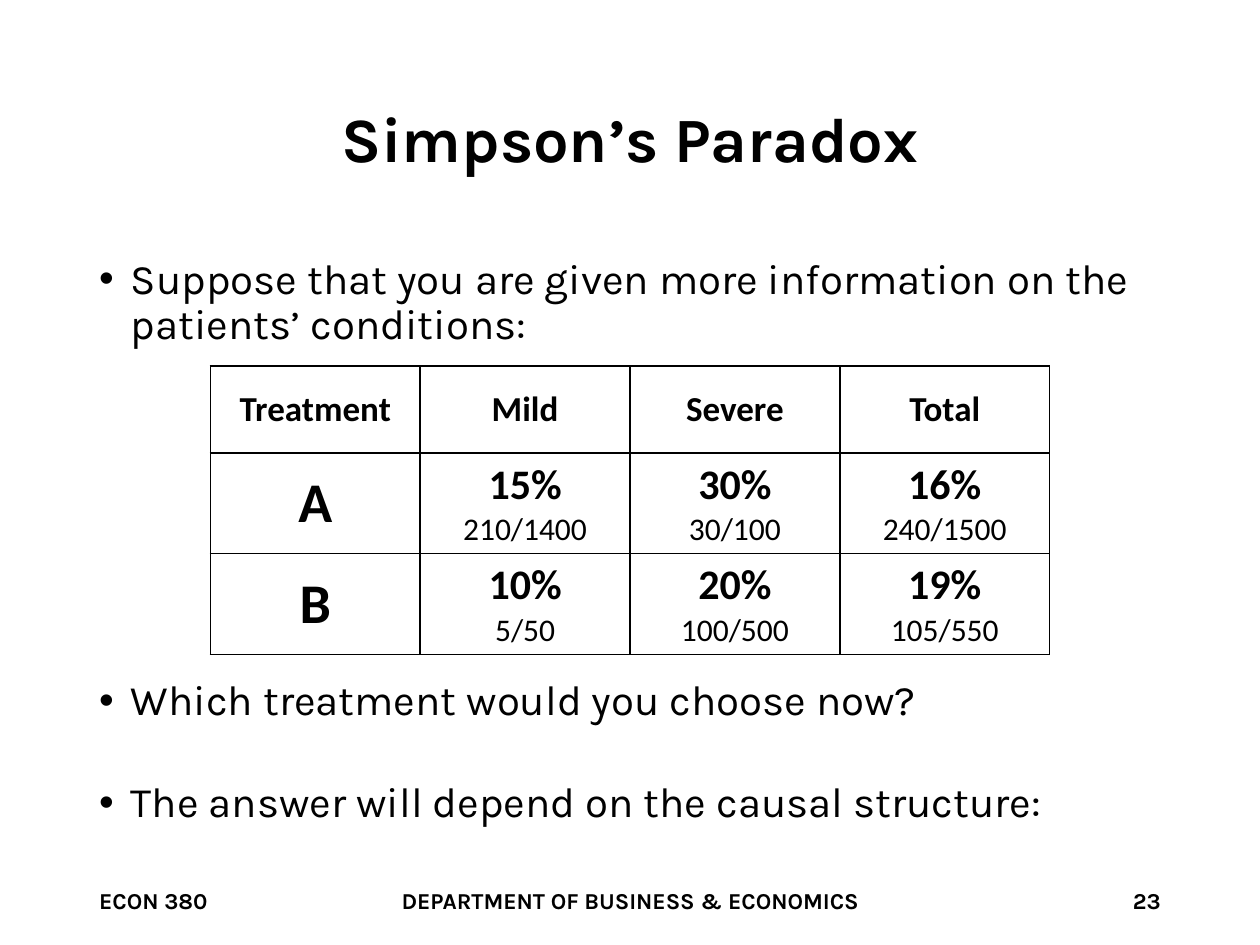
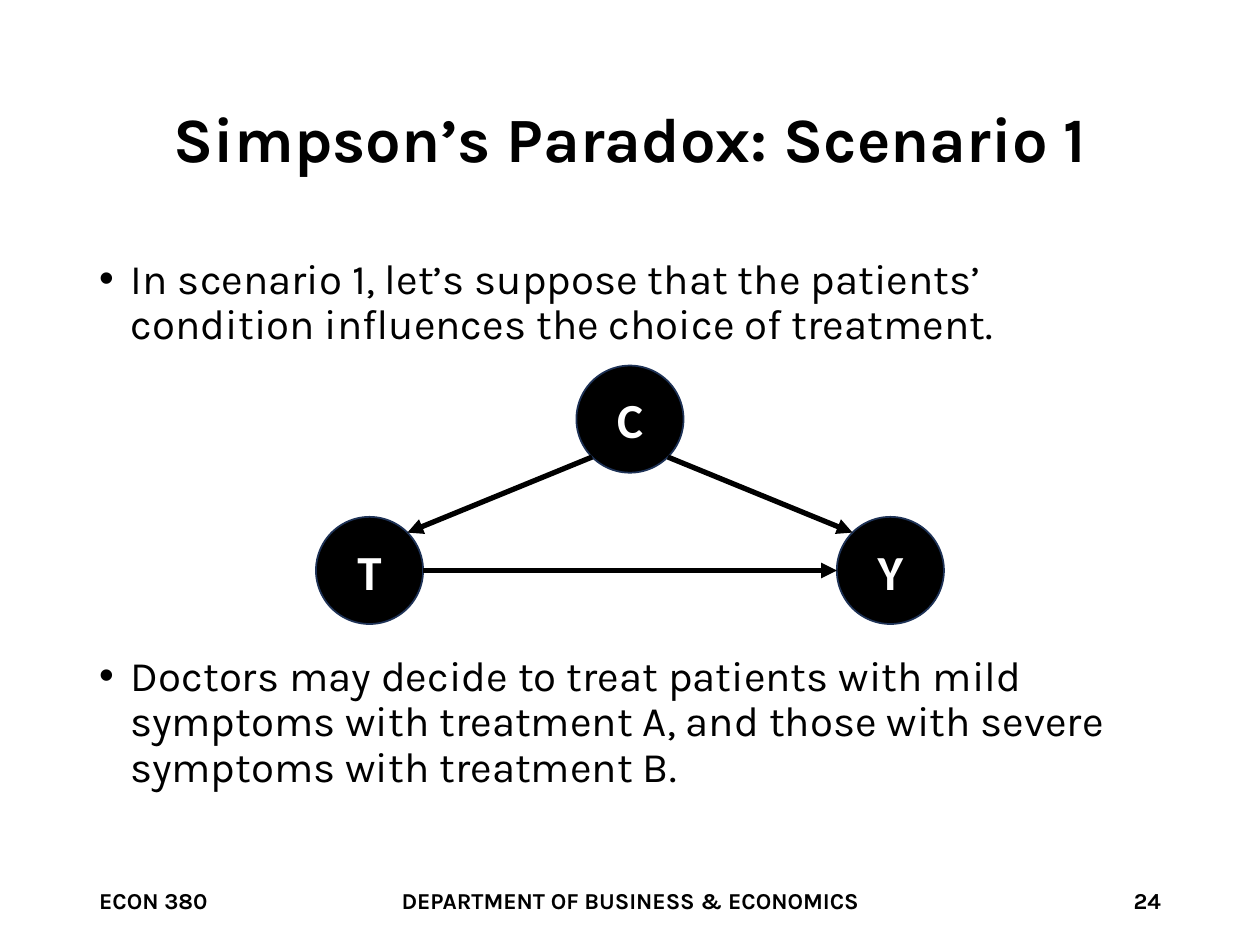
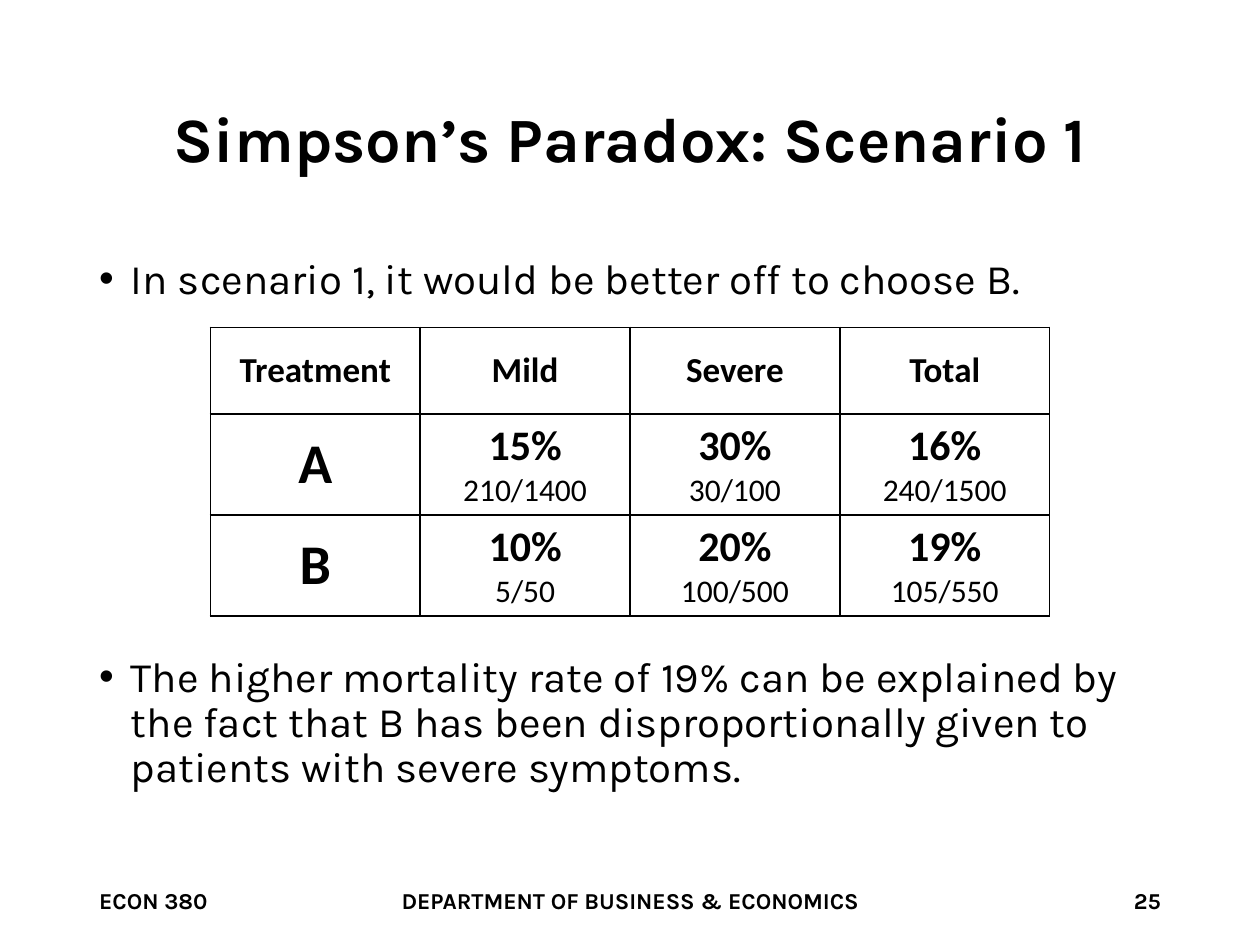
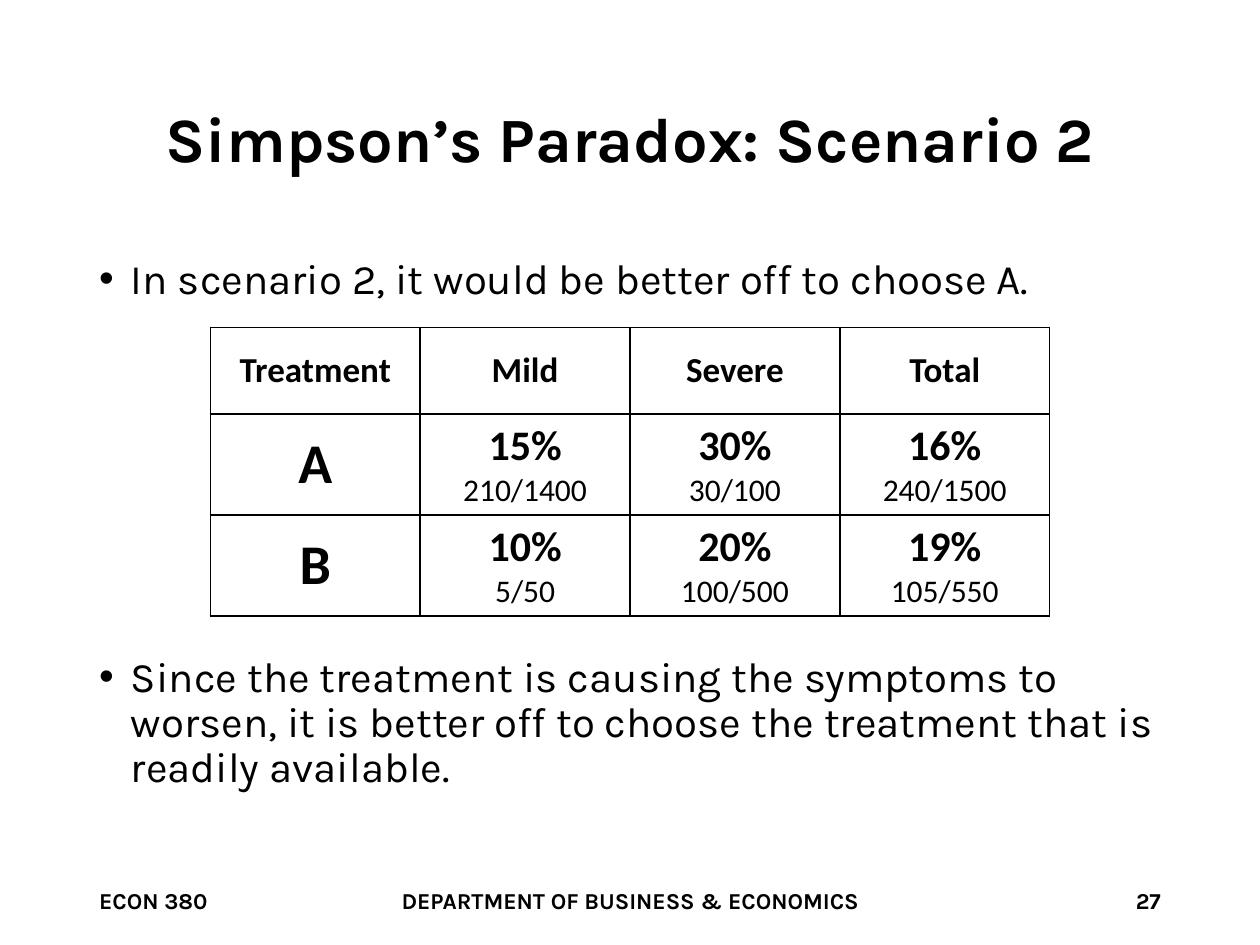
from dataclasses import dataclass
from math import cos, radians, sin

from lxml import etree
from pptx import Presentation
from pptx.dml.color import RGBColor
from pptx.enum.shapes import MSO_CONNECTOR, MSO_SHAPE
from pptx.enum.text import MSO_ANCHOR, MSO_AUTO_SIZE, PP_ALIGN
from pptx.oxml.ns import qn
from pptx.util import Cm, Pt

BLACK = RGBColor(0x00, 0x00, 0x00)
WHITE = RGBColor(0xFF, 0xFF, 0xFF)
NAVY = RGBColor(0x1E, 0x32, 0x56)

LEFT, CENTER, RIGHT = PP_ALIGN.LEFT, PP_ALIGN.CENTER, PP_ALIGN.RIGHT
TOP, MIDDLE = MSO_ANCHOR.TOP, MSO_ANCHOR.MIDDLE
OVAL, STRAIGHT = MSO_SHAPE.OVAL, MSO_CONNECTOR.STRAIGHT
NO_FIT = MSO_AUTO_SIZE.NONE

KARLA, CALIBRI = "Karla", "Calibri"
TITLE_ONLY = 5
WIDTH, HEIGHT = 25.4, 19.05
MARGIN = 1.75
INNER = WIDTH - 2 * MARGIN
INDENT = Cm(0.64)

HEADS = ["Treatment", "Mild", "Severe", "Total"]
RATES = {
    "A": [("15%", "210/1400"), ("30%", "30/100"), ("16%", "240/1500")],
    "B": [("10%", "5/50"), ("20%", "100/500"), ("19%", "105/550")],
}
COLUMN = 4.23
ROWS = [1.75, 1.88, 1.88]


@dataclass(frozen=True)
class Box:
    """A frame in centimetres."""
    left: float
    top: float
    width: float
    height: float

    def sizes(self) -> list:
        return [Cm(v) for v in (self.left, self.top, self.width, self.height)]


@dataclass(frozen=True)
class Foot:
    text: str
    box: Box
    align: PP_ALIGN


@dataclass(frozen=True)
class Point:
    """A bullet point and the gap above it in points."""
    text: str
    gap: float = 0


@dataclass(frozen=True)
class Node:
    name: str
    x: float
    y: float

    def rim(self, angle: float) -> list:
        """Point on the outline, clockwise from the right."""
        turn = radians(angle)
        return [Cm(self.x + RADIUS * cos(turn)), Cm(self.y + RADIUS * sin(turn))]


@dataclass(frozen=True)
class Arrow:
    start: Node
    out: float
    end: Node
    into: float


@dataclass(frozen=True)
class Page:
    number: int
    title: str
    points: list[Point]
    table: float | None = None  # top edge in centimetres


TITLE_BOX = Box(MARGIN, 1.02, INNER, 3.68)
BODY_BOX = Box(MARGIN, 5.08, INNER, 12.09)
FOOT_TOP, FOOT_TALL, SIDE = 17.65, 1.02, 5.72
FOOTS = [
    Foot("ECON 380", Box(MARGIN, FOOT_TOP, SIDE, FOOT_TALL), LEFT),
    Foot("DEPARTMENT OF BUSINESS & ECONOMICS",
         Box(4.7, FOOT_TOP, 16, FOOT_TALL), CENTER),
]
PAGE_BOX = Box(WIDTH - MARGIN - SIDE, FOOT_TOP, SIDE, FOOT_TALL)

RADIUS = 1.08
SPREAD = 5.25
CAUSE = Node("C", WIDTH / 2, 8.45)
TREAT = Node("T", WIDTH / 2 - SPREAD, 11.5)
YIELD = Node("Y", WIDTH / 2 + SPREAD, 11.5)
NODES = [TREAT, YIELD, CAUSE]
ARROWS = [
    Arrow(CAUSE, 135, TREAT, -45),
    Arrow(CAUSE, 45, YIELD, -135),
    Arrow(TREAT, 0, YIELD, 180),
]

PAGES = [
    Page(23, "Simpson’s Paradox", [
        Point("Suppose that you are given more information on the "
              "patients’ conditions:"),
        Point("Which treatment would you choose now?", 189),
        Point("The answer will depend on the causal structure:", 32.3),
    ], table=7.38),
    Page(24, "Simpson’s Paradox: Scenario 1", [
        Point("In scenario 1, let’s suppose that the patients’ condition "
              "influences the choice of treatment."),
        Point("Doctors may decide to treat patients with mild symptoms with "
              "treatment A, and those with severe symptoms with treatment B.",
              175),
    ]),
    Page(25, "Simpson’s Paradox: Scenario 1", [
        Point("In scenario 1, it would be better off to choose B."),
        Point("The higher mortality rate of 19% can be explained by the fact "
              "that B has been disproportionally given to patients with "
              "severe symptoms.", 201.4),
    ], table=6.6),
    Page(27, "Simpson’s Paradox: Scenario 2", [
        Point("In scenario 2, it would be better off to choose A."),
        Point("Since the treatment is causing the symptoms to worsen, it is "
              "better off to choose the treatment that is readily available.",
              201.4),
    ], table=6.6),
]


def write(frame, text: str, *, size: float, font: str = KARLA,
          bold: bool = False, color: RGBColor = BLACK,
          align: PP_ALIGN = LEFT, lines: float = 1, gap: float = 0,
          bullet: bool = False) -> None:
    """Add a paragraph, using the empty first one if there is one."""
    para = frame.paragraphs[0]
    if para.runs:
        para = frame.add_paragraph()
    if bullet:
        props = para._p.get_or_add_pPr()
        props.set("marL", str(INDENT))
        props.set("indent", str(-INDENT))
        etree.SubElement(props, qn("a:buFont"), typeface="Arial")
        etree.SubElement(props, qn("a:buChar"), char="•")
    para.alignment = align
    para.line_spacing = lines
    para.space_before = Pt(gap)
    run = para.add_run()
    run.text = text
    run.font.name = font
    run.font.size = Pt(size)
    run.font.bold = bold
    run.font.color.rgb = color


def add_box(slide, box: Box, anchor: MSO_ANCHOR):
    """Add a wrapped text box and return its frame."""
    frame = slide.shapes.add_textbox(*box.sizes()).text_frame
    frame.word_wrap = True
    frame.vertical_anchor = anchor
    return frame


def add_title(slide, text: str) -> None:
    title = slide.shapes.title
    title.left, title.top, title.width, title.height = TITLE_BOX.sizes()
    frame = title.text_frame
    frame.auto_size = NO_FIT
    frame.vertical_anchor = MIDDLE
    write(frame, text, size=36, bold=True, align=CENTER, lines=0.9)


def add_foots(slide, number: int) -> None:
    for foot in [*FOOTS, Foot(str(number), PAGE_BOX, RIGHT)]:
        frame = add_box(slide, foot.box, MIDDLE)
        write(frame, foot.text, size=13, bold=True, align=foot.align)


def add_points(slide, points: list[Point]) -> None:
    frame = add_box(slide, BODY_BOX, TOP)
    for point in points:
        write(frame, point.text, size=24, lines=0.9, gap=point.gap, bullet=True)


def frame_cell(cell) -> None:
    """Clear the fill and draw a thin black line on all four sides."""
    props = cell._tc.get_or_add_tcPr()
    for side in ("lnL", "lnR", "lnT", "lnB"):
        line = etree.SubElement(props, qn(f"a:{side}"), w=str(Pt(1)))
        fill = etree.SubElement(line, qn("a:solidFill"))
        etree.SubElement(fill, qn("a:srgbClr"), val=str(BLACK))
    cell.fill.background()
    cell.vertical_anchor = MIDDLE


def add_rates(slide, top: float) -> None:
    wide = COLUMN * len(HEADS)
    box = Box((WIDTH - wide) / 2, top, wide, sum(ROWS))
    table = slide.shapes.add_table(len(ROWS), len(HEADS), *box.sizes()).table
    table.first_row = table.horz_banding = False
    for column in table.columns:
        column.width = Cm(COLUMN)
    for row, tall in zip(table.rows, ROWS):
        row.height = Cm(tall)
    for cell in table.iter_cells():
        frame_cell(cell)

    style = {"font": CALIBRI, "align": CENTER}
    for col, head in enumerate(HEADS):
        write(table.cell(0, col).text_frame, head, size=20, bold=True, **style)
    for row, (name, pairs) in enumerate(RATES.items(), 1):
        write(table.cell(row, 0).text_frame, name, size=32, bold=True, **style)
        for col, (rate, count) in enumerate(pairs, 1):
            frame = table.cell(row, col).text_frame
            write(frame, rate, size=24, bold=True, **style)
            write(frame, count, size=18, **style)


def add_node(group, node: Node) -> None:
    box = Box(node.x - RADIUS, node.y - RADIUS, 2 * RADIUS, 2 * RADIUS)
    shape = group.shapes.add_shape(OVAL, *box.sizes())
    shape.shadow.inherit = False
    shape.fill.solid()
    shape.fill.fore_color.rgb = BLACK
    shape.line.color.rgb = NAVY
    shape.line.width = Pt(1)
    shape.text_frame.vertical_anchor = MIDDLE
    write(shape.text_frame, node.name, size=28, font=CALIBRI, bold=True,
          color=WHITE, align=CENTER)


def add_arrow(group, arrow: Arrow) -> None:
    line = group.shapes.add_connector(
        STRAIGHT, *arrow.start.rim(arrow.out), *arrow.end.rim(arrow.into))
    line.line.color.rgb = BLACK
    line.line.width = Pt(3)
    etree.SubElement(line.line._get_or_add_ln(), qn("a:tailEnd"),
                     type="triangle")
    etree.SubElement(line._element.spPr, qn("a:effectLst"))


def add_graph(slide) -> None:
    group = slide.shapes.add_group_shape()
    for node in NODES:
        add_node(group, node)
    for arrow in ARROWS:
        add_arrow(group, arrow)


def main() -> None:
    deck = Presentation()
    deck.slide_width, deck.slide_height = Cm(WIDTH), Cm(HEIGHT)
    for page in PAGES:
        slide = deck.slides.add_slide(deck.slide_layouts[TITLE_ONLY])
        add_title(slide, page.title)
        add_foots(slide, page.number)
        add_points(slide, page.points)
        if page.table is None:
            add_graph(slide)
        else:
            add_rates(slide, page.table)
    deck.save("out.pptx")


if __name__ == "__main__":
    main()
